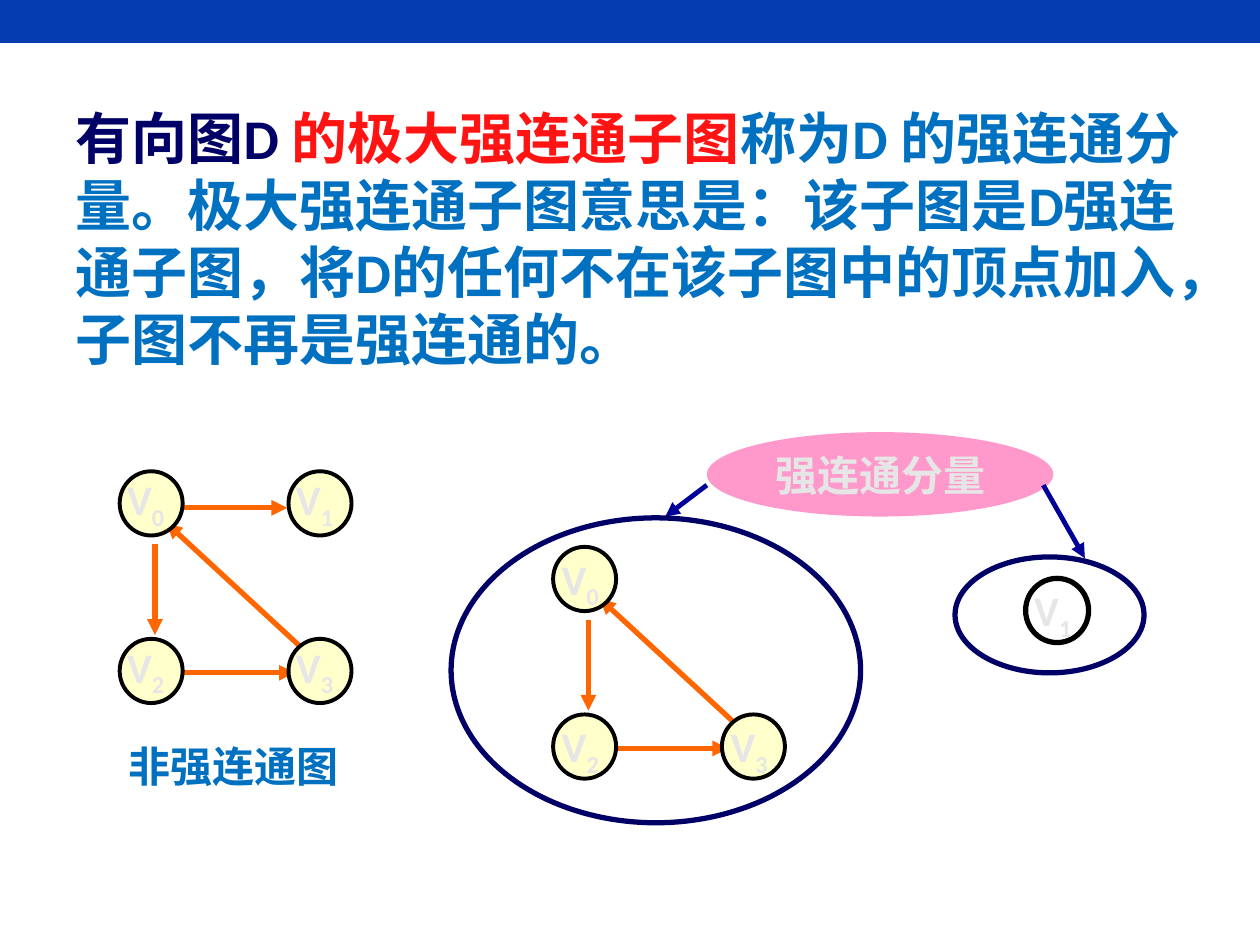
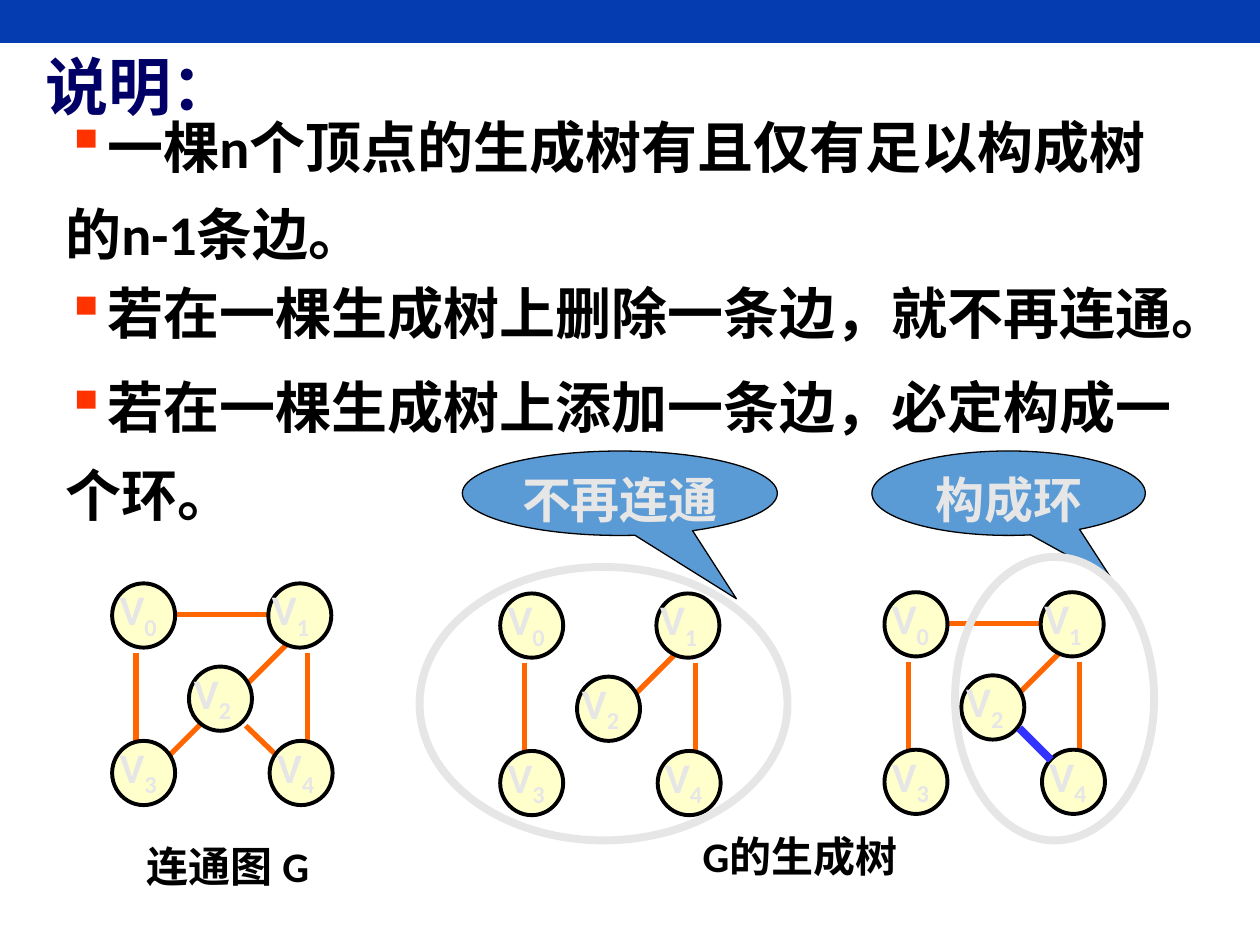
from lxml import etree
from pptx import Presentation
from pptx.dml.color import RGBColor
from pptx.enum.shapes import MSO_CONNECTOR, MSO_SHAPE
from pptx.enum.text import MSO_ANCHOR, PP_ALIGN
from pptx.oxml.ns import qn
from pptx.util import Inches, Pt

RECT, OVAL = MSO_SHAPE.RECTANGLE, MSO_SHAPE.OVAL
BUBBLE = MSO_SHAPE.OVAL_CALLOUT
LINE = MSO_CONNECTOR.STRAIGHT
LEFT, CENTER = PP_ALIGN.LEFT, PP_ALIGN.CENTER
TOP, MIDDLE = MSO_ANCHOR.TOP, MSO_ANCHOR.MIDDLE

COLORS = {
    "band": "053CAF", "navy": "000066", "arrow": "000099", "red": "FF1313",
    "sky": "0070C0", "pink": "FF99CC", "pale": "E7E6E6", "edge": "FF6600",
    "node": "FFFFCC", "black": "000000", "bullet": "FF3300",
    "blue": "3333FF", "bubble": "5B9BD5",
}

# The grid has 100 columns and 75 rows on a 10 by 7.5 inch slide.
WIDE, HIGH = Inches(10), Inches(7.5)
COLS, ROWS = 100, 75

# Nodes: column, row and label shift, from the corner of the first node
SQUARE = {"0": (0, 0, 0), "1": (13.4, 0, 0),
          "2": (0, 13.3, 0), "3": (13.4, 13.3, 0)}
CROSS = {"0": (0, 0, 0), "1": (12.4, 0, -0.3), "2": (6.1, 6.6, -0.2),
         "3": (0, 12.5, 0), "4": (12.5, 12.5, 0)}

# Edges: start and end, from the same corner
ARCS = {"02": (2.8, 5.8, 2.8, 13), "23": (5.1, 16, 13.9, 16),
        "30": (15.4, 14.9, 3.7, 4.1), "01": (5.1, 2.9, 13.3, 2.9)}
LINKS = {"03": (1.9, 5.5, 1.9, 12.7), "01": (4.9, 2.5, 13.2, 2.5),
         "14": (15.5, 5.5, 15.5, 12.7), "12": (13.8, 4.9, 10.8, 7.9),
         "23": (7.3, 10.9, 4.3, 13.9), "24": (10.6, 11.3, 13.2, 13.8)}


def tint(name):
    return RGBColor.from_string(COLORS[name])


class Deck:
    latin, asian = "Calibri", "Noto Sans CJK SC"

    def __init__(self):
        self.prs = Presentation()
        self.prs.slide_width, self.prs.slide_height = WIDE, HIGH
        self.shapes = None

    def page(self):
        layout = self.prs.slide_layouts[6]
        self.shapes = self.prs.slides.add_slide(layout).shapes
        self.shape(RECT, (0, 0, COLS, 3.4), "band")

    def place(self, *spots):
        """Turn column and row pairs into slide lengths."""
        units = (WIDE / COLS, HIGH / ROWS)
        return [round(spot * units[i % 2]) for i, spot in enumerate(spots)]

    def style(self, para, size, color, align=LEFT, font=None):
        para.alignment = align
        para.font.name = font or self.latin
        para.font.size = Pt(size)
        para.font.bold = True
        para.font.color.rgb = tint(color)
        face = para._p.pPr.find(qn("a:defRPr"))
        etree.SubElement(face, qn("a:ea"), typeface=self.asian)

    def shape(self, kind, box, fill=None, line=None, width=0):
        item = self.shapes.add_shape(kind, *self.place(*box))
        item.shadow.inherit = False
        if fill:
            item.fill.solid()
            item.fill.fore_color.rgb = tint(fill)
        else:
            item.fill.background()
        if line:
            item.line.color.rgb = tint(line)
            item.line.width = Pt(width)
        else:
            item.line.fill.background()
        return item

    def caption(self, item, words, size, anchor):
        """Write centred pale words inside a shape."""
        frame = item.text_frame
        frame.word_wrap = False
        frame.vertical_anchor = anchor
        para = frame.paragraphs[0]
        para.text = words
        self.style(para, size, "pale", CENTER)

    def text(self, box, words, size, color="black", align=LEFT, font=None,
             space=None, bullet=False):
        """Add a text box; words is a string or a list of (words, color)."""
        frame = self.shapes.add_textbox(*self.place(*box)).text_frame
        frame.word_wrap = True
        para = frame.paragraphs[0]
        if space:
            para.line_spacing = space
        if bullet:
            props = para._p.get_or_add_pPr()
            hue = etree.SubElement(props, qn("a:buClr"))
            etree.SubElement(hue, qn("a:srgbClr"), val=COLORS["bullet"])
            etree.SubElement(props, qn("a:buChar"), char="▪")
        self.style(para, size, color, align, font)
        if isinstance(words, str):
            words = [(words, None)]
        for part, hue in words:
            run = para.add_run()
            run.text = part
            if hue:
                run.font.color.rgb = tint(hue)
        return para

    def line(self, ends, color="edge", width=3, arrow=False):
        item = self.shapes.add_connector(LINE, *self.place(*ends))
        item.line.color.rgb = tint(color)
        item.line.width = Pt(width)
        props = item._element.spPr
        if arrow:
            etree.SubElement(props.find(qn("a:ln")), qn("a:tailEnd"),
                             type="triangle")
        etree.SubElement(props, qn("a:effectLst"))

    def node(self, col, row, name, shift, fill="node", width=2.25):
        self.shape(OVAL, (col, row, 5, 5.1), fill, "black", width)
        box = (col + shift[0], row + shift[1], 7.1, 5)
        para = self.text(box, [("V", None), (name, None)], 24, "pale")
        para.runs[1]._r.get_or_add_rPr().set("baseline", "-25000")

    def graph(self, col, row, nodes, edges, shift, arrow=False):
        for x1, y1, x2, y2 in edges:
            self.line((col + x1, row + y1, col + x2, row + y2), arrow=arrow)
        for name, (x, y, lean) in nodes.items():
            self.node(col + x, row + y, name, (shift[0] + lean, shift[1]))


def parts(deck):
    """Strongly connected components of a directed graph."""
    deck.page()
    deck.text((5, 7.7, 90, 22.6), [
        ("有向图D ", "navy"),
        ("的极大强连通子图", "red"),
        ("称为D 的强连通分量。极大强连通子图意思是：该子图是D强连通子图，"
         "将D的任何不在该子图中的顶点加入，子图不再是强连通的。", "sky"),
    ], 32)

    # Label with arrows to both components
    label = deck.shape(OVAL, (56.1, 34.3, 27.5, 6.7), "pink")
    deck.caption(label, "强连通分量", 24, MIDDLE)
    for ends in ((56.1, 38.5, 52.8, 41), (82.8, 38.5, 86.1, 44.3)):
        deck.line(ends, "arrow", 2.75, True)

    # Whole graph, then its large component
    deck.graph(9.5, 37.4, SQUARE, ARCS.values(), (-0.4, -0.3), True)
    core = {name: SQUARE[name] for name in "023"}
    arcs = [ARCS[key] for key in ("02", "23", "30")]
    deck.graph(43.9, 43.4, core, arcs, (-0.3, 0), True)
    deck.shape(OVAL, (35.8, 41.1, 32.5, 24.2), None, "navy", 3)

    # Component with a single node
    deck.node(81.4, 45.9, "1", (-0.3, 0), None, 3)
    deck.shape(OVAL, (75.8, 44.2, 15, 9.2), None, "navy", 3)
    deck.text((9.2, 58.3, 20, 5), "非强连通图", 24, "sky", font=deck.asian)


def trees(deck):
    """Notes on spanning trees."""
    deck.page()
    deck.text((2.6, 1.5, 20, 8.8), "说明：", 36, "navy", space=1.3)
    notes = (
        (6.8, 90.7, 14.9, "一棵n个顶点的生成树有且仅有足以构成树的n-1条边。"),
        (20, 93.9, 7.4, "若在一棵生成树上删除一条边，就不再连通。"),
        (27.5, 90, 14.9, "若在一棵生成树上添加一条边，必定构成一个环。"),
    )
    for row, wide, high, words in notes:
        deck.text((4.2, row, wide, high), words, 32, space=1.3, bullet=True)

    # Connected graph, cut tree and tree with one more edge
    plots = (
        (8.9, 46.3, ("03", "01", "14", "12", "23", "24")),
        (39.7, 47.1, ("03", "14", "12")),
        (70.2, 47, ("03", "01", "14", "12")),
    )
    for col, row, keys in plots:
        edges = [LINKS[key] for key in keys]
        deck.graph(col, row, CROSS, edges, (-0.4, -0.45))
    deck.line((80.9, 57.8, 83.4, 60.3), "blue", 4.5)
    for col, row, words in ((5.8, 66.2, "连通图 G"), (51.2, 65.4, "G的生成树")):
        deck.text((col, row, 24.6, 5), words, 24, align=CENTER)

    # Rings and callouts
    deck.shape(OVAL, (33.3, 45, 29.2, 21.7), None, "pale", 4.5)
    calls = ((36.7, 25, "不再连通", (0.37, 1.25)),
             (69.2, 21.7, "构成环", (0.38, 1.03)))
    for col, wide, words, tip in calls:
        call = deck.shape(BUBBLE, (col, 35.8, wide, 6.7),
                          "bubble", "black", 0.75)
        call.adjustments[0], call.adjustments[1] = tip
        deck.caption(call, words, 28, TOP)
    deck.shape(OVAL, (75.8, 44.2, 15.8, 22.5), None, "pale", 4.5)


def main():
    deck = Deck()
    parts(deck)
    trees(deck)
    deck.prs.save("out.pptx")


if __name__ == "__main__":
    main()
